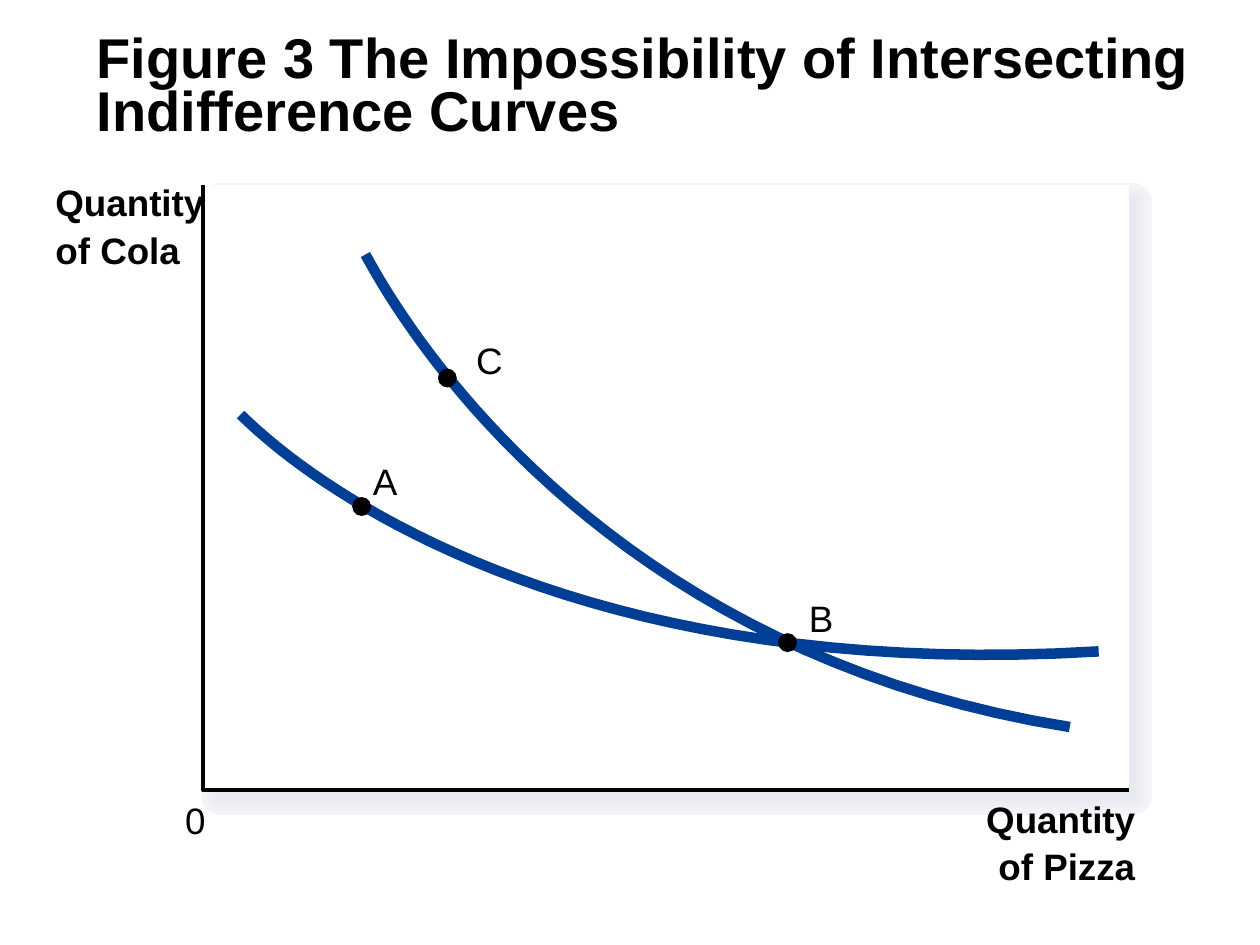
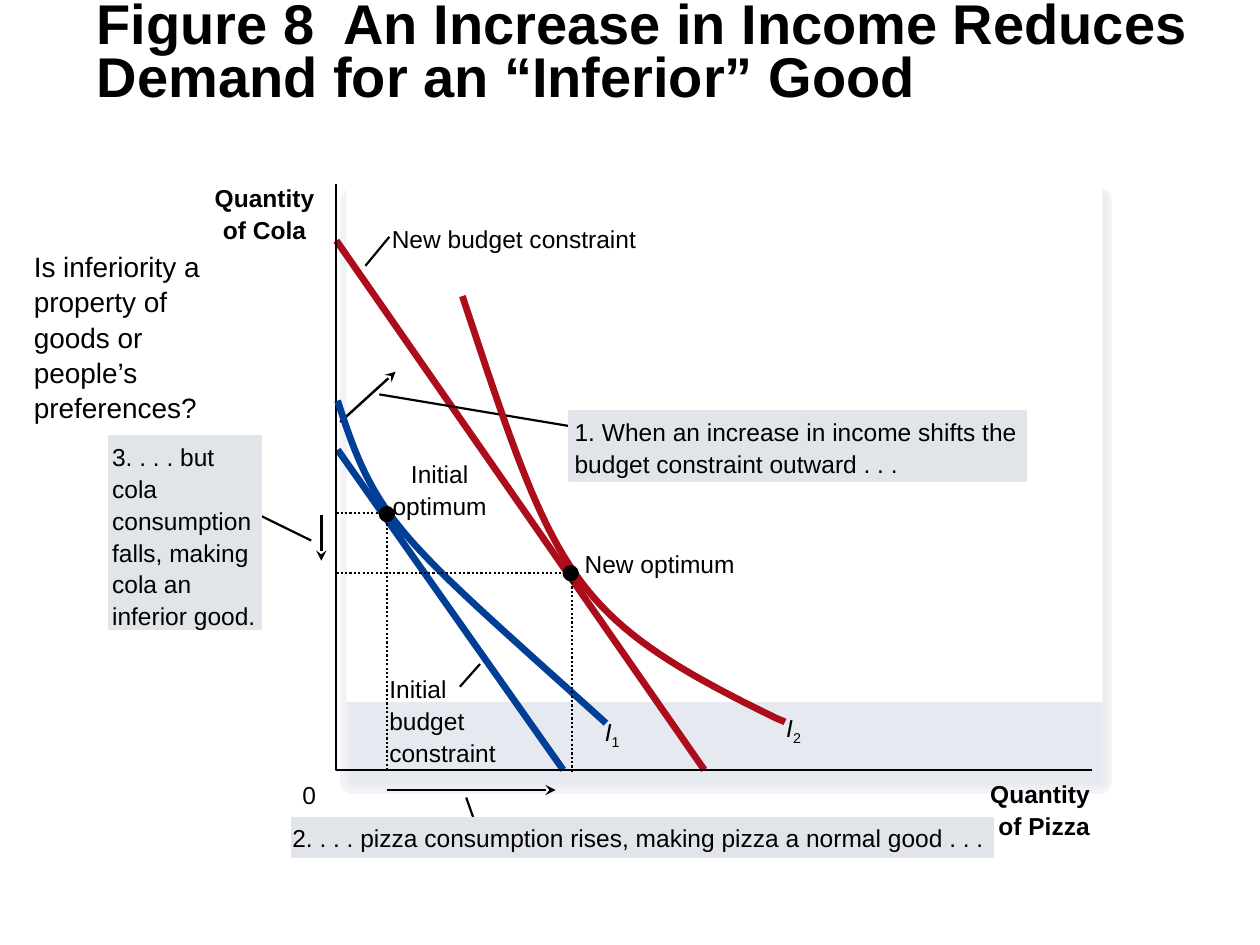
"""Build two slides of indifference-curve diagrams on a grid of 100 columns by 75 rows."""
from lxml import etree
from pptx import Presentation
from pptx.dml.color import RGBColor
from pptx.enum.dml import MSO_LINE
from pptx.enum.shapes import MSO_CONNECTOR, MSO_SHAPE
from pptx.enum.text import MSO_ANCHOR, PP_ALIGN
from pptx.oxml.ns import qn
from pptx.util import Inches, Pt

prs = Presentation()
prs.slide_width, prs.slide_height = Inches(10), Inches(7.5)
U = prs.slide_width // 100
BLACK, WHITE, BLUE, RED, GREY = "000000", "FFFFFF", "003F95", "AD0D1B", "E1E5E9"
SHADES = ["F3F6F9", "F2F4F8", "F1F4F7", "F0F2F5", "EEF1F4", "EDEFF3",
          "EBEEF2", "EAECF1", "E9EBF0", "E7EAEF", "E6E9EF"]
LEFT, CENTER, RIGHT = PP_ALIGN.LEFT, PP_ALIGN.CENTER, PP_ALIGN.RIGHT


def style(sp, fill=None, line=None, width=1.25, dash=None, arrow=False):
    if hasattr(sp, "fill"):
        if fill:
            sp.fill.solid()
            sp.fill.fore_color.rgb = RGBColor.from_string(fill)
        else:
            sp.fill.background()
    if line:
        sp.line.color.rgb = RGBColor.from_string(line)
        sp.line.width = Pt(width)
        if dash:
            sp.line.dash_style = dash
    else:
        sp.line.fill.background()
    if arrow:
        etree.SubElement(sp.line._get_or_add_ln(), qn("a:tailEnd"), type="stealth")
    etree.SubElement(sp._element.spPr, qn("a:effectLst"))


def text(s, lines, x, y, w, h, size=14, bold=False, italic=False, align=LEFT,
         inset=(0, 0), anchor=MSO_ANCHOR.TOP, spacing=None, fill=None, sub=None):
    sp = s.shapes.add_textbox(*(round(v * U) for v in (x, y, w, h)))
    if fill:
        style(sp, fill, fill)
    tf = sp.text_frame
    tf.word_wrap, tf.vertical_anchor = True, anchor
    tf.margin_left = tf.margin_right = round(inset[0] * U)
    tf.margin_top = tf.margin_bottom = round(inset[1] * U)
    for i, line in enumerate(lines.split("\n")):
        p = tf.add_paragraph() if i else tf.paragraphs[0]
        p.alignment, p.line_spacing = align, spacing
        p.space_before = Pt(0.1 * size if i else 0)
        for part in filter(None, (line, sub)):
            r = p.add_run()
            r.text = part
            f = r.font
            f.name, f.size, f.bold, f.italic = "Arial", Pt(size), bold, italic
            f.color.rgb = RGBColor.from_string(BLACK)
            if part == sub:
                f.italic = False
                r._r.get_or_add_rPr().set("baseline", "-25000")


figures = [
    dict(title="Figure 3 The Impossibility of Intersecting Indifference Curves", top=3.3,
         shadow=(17.5, 16, 72.4, 47.2), rim=2, step=1.98, panel=(16.1, 14.7, 73.5, 48.1),
         axes=[(16.1, 14.7), (16.1, 62.7), (89.6, 62.7)], axis_width=2,
         lines=[], curve_width=6,
         curves=[(BLUE, [(19.1, 32.9), (22.4, 36.2), (42.5, 54.4), (87.2, 51.7)]),
                 (BLUE, [(29, 20.2), (30.1, 22.1), (45, 51.4), (84.9, 57.7)])],
         guides=[], dot=1.5, dots=[(35.5, 30), (28.7, 40.2), (62.5, 51)], size=21,
         labels=[("Quantity\nof Pizza", 75, 63.2, 15.1, 7.2, dict(bold=True, align=RIGHT)),
                 ("Quantity\nof Cola", 4.4, 14.3, 13, 7.2, dict(bold=True)),
                 ("0", 14.7, 63.3, 2, 3.5, {}), ("C", 37.8, 26.8, 3, 3.5, {}),
                 ("A", 29.6, 36.4, 3, 3.5, {}), ("B", 64.2, 47.3, 3, 3.5, {})]),
    dict(title="Figure 8  An Increase in Income Reduces Demand for an “Inferior” Good", top=0.6,
         shadow=(28, 15.9, 59.3, 46.1), rim=1.25, step=1.31, panel=(27.5, 9.2, 60, 46.5),
         axes=[(26.7, 14.6), (26.7, 61.1), (86.7, 61.1)], axis_width=1.25,
         lines=[(26.8, 35.7, 44.7, 61.1, BLUE, 3.88, False),
                (26.7, 19.1, 55.9, 61.1, RED, 3.88, False),
                (25.5, 40.9, 25.5, 44.5, BLACK, 1.39, True),
                (30.7, 62.7, 44.1, 62.7, BLACK, 1.39, True),
                (27, 33.5, 31.4, 29.5, BLACK, 1.39, True),
                (38.1, 52.7, 36.5, 54.5, BLACK, 1.25, False),
                (30.9, 18.8, 29, 21.1, BLACK, 1.25, False),
                (30.1, 31.3, 46.3, 34, BLACK, 1.25, False),
                (24.7, 42.9, 19.6, 40.4, BLACK, 1.25, False),
                (37, 63.3, 38.1, 66.4, BLACK, 1.25, False)],
         curve_width=3.88,
         curves=[(BLUE, [(48.1, 57.4), (31.7, 42.6), (29.9, 41.6), (26.8, 31.8)]),
                 (RED, [(36.7, 23.5), (44.1, 45.8), (45, 48.9), (61.4, 56.9),
                        (61.8, 57.1), (61.9, 57.1), (62.3, 57.3)])],
         guides=[[(26.7, 40.7), (30.7, 40.7), (30.7, 61.1)],
                 [(26.7, 45.5), (45.4, 45.5), (45.4, 61.3)]],
         dot=1.3, dots=[(30.7, 40.8), (45.3, 45.5)], size=14,
         labels=[("1. When an increase in income shifts the\nbudget constraint outward . . .",
                  45.2, 32.6, 36.2, 5.6, dict(fill=GREY, inset=(0.4, 0.5))),
                 ("3. . . . but\ncola\nconsumption\nfalls, making\ncola an\ninferior good.",
                  8.7, 34.6, 12, 15.3, dict(fill=GREY, inset=(0.2, 0.5))),
                 ("2. . . . pizza consumption rises, making pizza a normal good . . .",
                  23.2, 64.9, 55.6, 3.1, dict(fill=GREY, inset=(0, 0.4))),
                 ("Quantity\nof Pizza", 76.5, 61.8, 10, 4.8, dict(bold=True, align=RIGHT)),
                 ("Quantity\nof Cola", 16, 14.5, 10, 4.8, dict(bold=True, align=CENTER)),
                 ("0", 24, 61.9, 2, 2.3, {}),
                 ("Initial\nbudget\nconstraint", 30.9, 53.5, 10, 7.2, {}),
                 ("New budget constraint", 31.1, 17.8, 22, 2.3, {}),
                 ("I", 48, 56.9, 3, 2.7, dict(italic=True, sub="1")),
                 ("I", 62.4, 56.6, 3, 2.7, dict(italic=True, sub="2")),
                 ("Initial\noptimum", 30.6, 36.4, 8.6, 4.8, dict(align=CENTER)),
                 ("New optimum", 46.4, 43.6, 14, 2.3, {}),
                 ("Is inferiority a property of goods or people’s preferences?", 1.7, 19.2,
                  18.3, 17, dict(size=16, inset=(1, 0.5), spacing=1.05))]),
]

for fig in figures:
    s = prs.slides.add_slide(prs.slide_layouts[6])
    text(s, fig["title"], 6.7, fig["top"], 90, 7.5, size=32, bold=True,
         inset=(1, 0.5), anchor=MSO_ANCHOR.MIDDLE, spacing=0.8)

    for i, shade in enumerate(SHADES):
        sp = s.shapes.add_shape(MSO_SHAPE.RECTANGLE, *(round(v * U) for v in fig["shadow"]))
        style(sp, shade, shade, fig["rim"] + fig["step"] * (len(SHADES) - 1 - i))
    sp = s.shapes.add_shape(MSO_SHAPE.RECTANGLE, *(round(v * U) for v in fig["panel"]))
    style(sp, WHITE)

    outlines = [(fig["axes"], BLACK, fig["axis_width"], None)]
    for color, pts in fig["curves"]:
        curve = []
        for k in range(0, len(pts) - 1, 3):
            for t in (n / 40 for n in range(41)):
                weights = ((1 - t) ** 3, 3 * t * (1 - t) ** 2, 3 * t * t * (1 - t), t ** 3)
                curve.append([sum(w * pt[axis] for w, pt in zip(weights, pts[k:k + 4]))
                              for axis in (0, 1)])
        outlines.append((curve, color, fig["curve_width"], None))
    outlines += [(pts, BLACK, 1.25, MSO_LINE.ROUND_DOT) for pts in fig["guides"]]

    for x1, y1, x2, y2, color, width, arrow in fig["lines"]:
        sp = s.shapes.add_connector(MSO_CONNECTOR.STRAIGHT,
                                    *(round(v * U) for v in (x1, y1, x2, y2)))
        style(sp, line=color, width=width, arrow=arrow)
    for pts, color, width, dash in outlines:
        pts = [(round(x * U), round(y * U)) for x, y in pts]
        fb = s.shapes.build_freeform(*pts[0])
        fb.add_line_segments(pts[1:], close=False)
        style(fb.convert_to_shape(), line=color, width=width, dash=dash)

    d = fig["dot"]
    for x, y in fig["dots"]:
        sp = s.shapes.add_shape(MSO_SHAPE.OVAL,
                                *(round(v * U) for v in (x - d / 2, y - d / 2, d, d)))
        style(sp, BLACK)
    for label, x, y, w, h, fmt in fig["labels"]:
        text(s, label, x, y, w, h, **{"size": fig["size"], **fmt})

prs.save("out.pptx")
